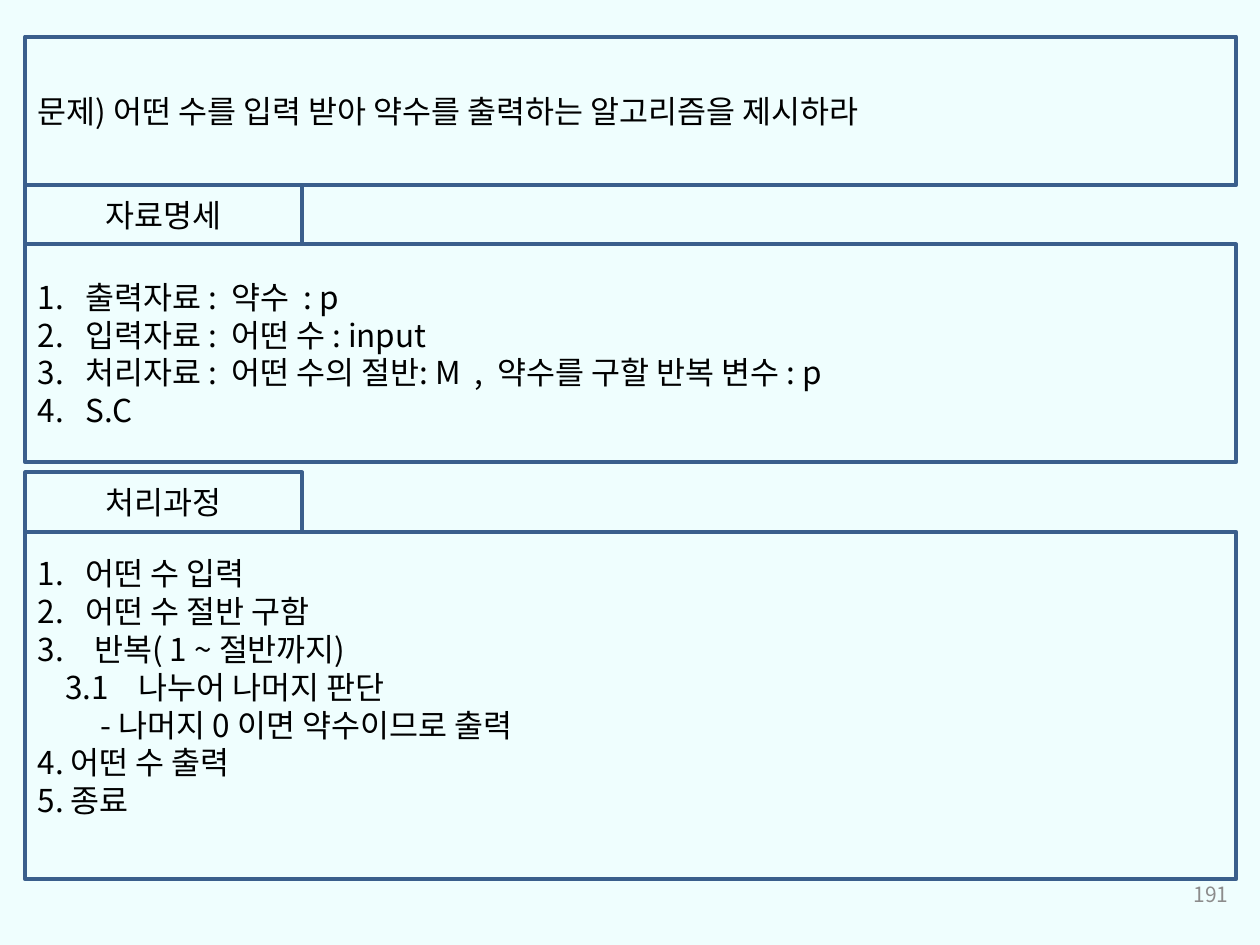
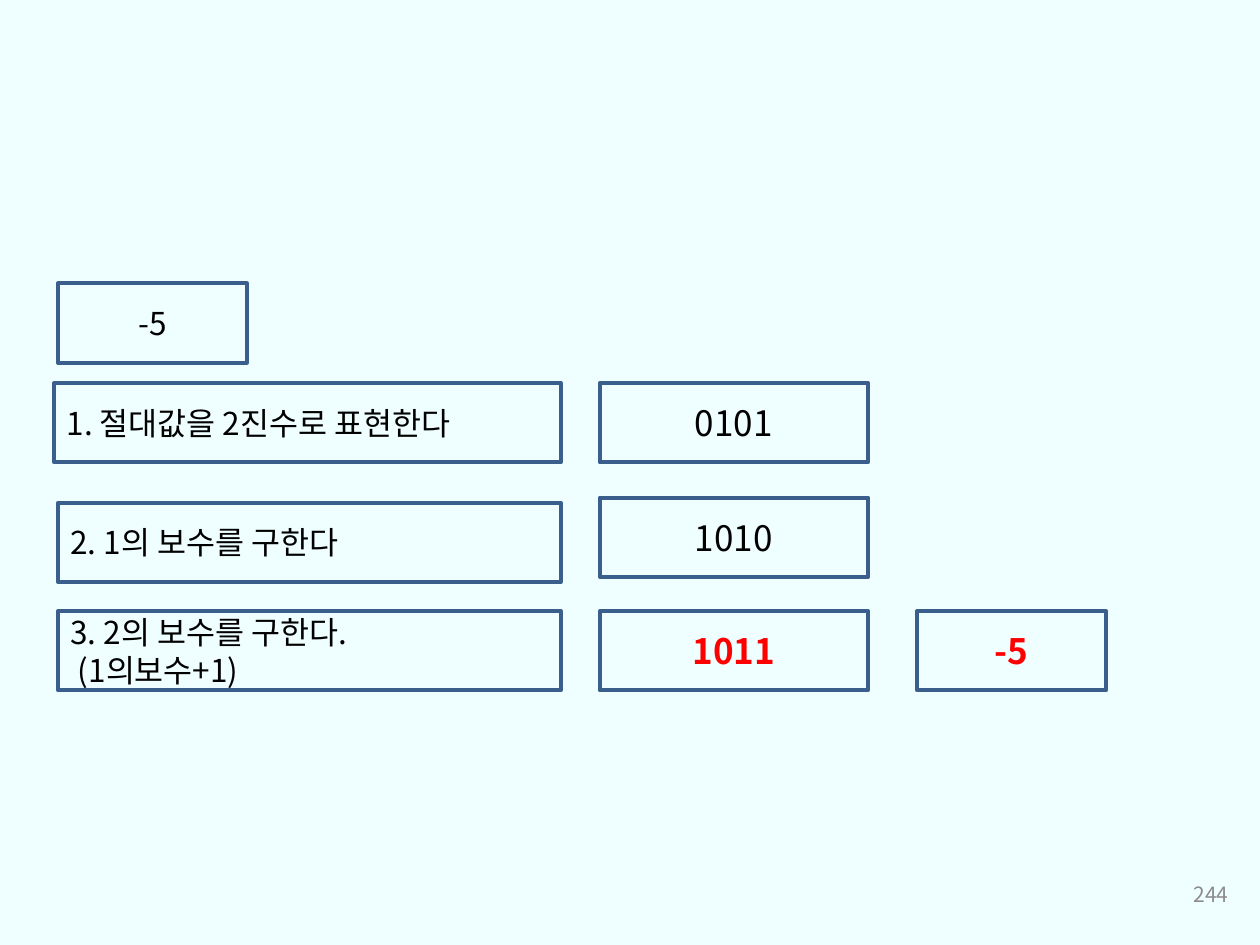
from dataclasses import dataclass

from lxml import etree
from pptx import Presentation
from pptx.dml.color import RGBColor
from pptx.enum.shapes import MSO_SHAPE
from pptx.enum.text import MSO_ANCHOR, PP_ALIGN
from pptx.oxml.ns import qn
from pptx.util import Inches, Pt

LEFT, CENTER, RIGHT = PP_ALIGN.LEFT, PP_ALIGN.CENTER, PP_ALIGN.RIGHT
MIDDLE = MSO_ANCHOR.MIDDLE
RECTANGLE = MSO_SHAPE.RECTANGLE

FONT = "Noto Sans CJK KR"
COLORS = {
    "background": "EFFEFE",
    "border": "3A5F8C",
    "text": "000000",
    "result": "FF0000",
    "page": "8C8C8C",
}
BLANK_LAYOUT = 6


@dataclass
class Line:
    """One paragraph; margin and hang are in inches."""
    text: str
    margin: float = 0
    hang: float = 0
    numbered: bool = False


def numbered(text, margin=0.38):
    return Line(text, margin, margin, True)


def color(name):
    return RGBColor.from_string(COLORS[name])


def write(frame, text, size=18, tint="text", bold=False, align=LEFT):
    """Fill a frame with a string or a list of Line objects."""
    frame.word_wrap = True
    frame.vertical_anchor = MIDDLE
    lines = [Line(text)] if isinstance(text, str) else text
    for index, line in enumerate(lines):
        paragraph = frame.add_paragraph() if index else frame.paragraphs[0]
        paragraph.alignment = align
        properties = paragraph._p.get_or_add_pPr()
        properties.set("marL", str(Inches(line.margin)))
        properties.set("indent", str(-Inches(line.hang)))
        if line.numbered:
            etree.SubElement(properties, qn("a:buFont"), typeface="+mj-lt")
            etree.SubElement(properties, qn("a:buAutoNum"), type="arabicPeriod")
        run = paragraph.add_run()
        run.text = line.text
        font = run.font
        font.name, font.size, font.bold = FONT, Pt(size), bold
        font.color.rgb = color(tint)
        etree.SubElement(run._r.get_or_add_rPr(), qn("a:ea"), typeface=FONT)


class Deck:
    def __init__(self):
        self.presentation = Presentation()
        self.presentation.slide_width = Inches(10)
        self.presentation.slide_height = Inches(7.5)
        self.slide = None

    def new_slide(self, page):
        layout = self.presentation.slide_layouts[BLANK_LAYOUT]
        self.slide = self.presentation.slides.add_slide(layout)
        fill = self.slide.background.fill
        fill.solid()
        fill.fore_color.rgb = color("background")
        footer = self.slide.shapes.add_textbox(
            Inches(7.52), Inches(6.9), Inches(2.33), Inches(0.4))
        write(footer.text_frame, page, size=12, tint="page", align=RIGHT)

    def box(self, left, top, width, height, text, **style):
        shape = self.slide.shapes.add_shape(
            RECTANGLE, Inches(left), Inches(top), Inches(width), Inches(height))
        shape.shadow.inherit = False
        shape.fill.background()
        shape.line.color.rgb = color("border")
        shape.line.width = Pt(2.25)
        write(shape.text_frame, text, **style)
        return shape

    def section(self, top, height, heading, lines):
        """Draw a wide box with its heading tab on top."""
        left, tab_height = 0.2, 0.47
        body = self.box(left, top + tab_height, 9.61, height, lines)
        self.box(left, top, 2.2, tab_height, heading, align=CENTER)
        return body

    def save(self):
        self.presentation.save("out.pptx")


def divisor_slide(deck):
    deck.new_slide("191")
    deck.box(0.2, 0.29, 9.61, 1.18,
             "문제) 어떤 수를 입력 받아 약수를 출력하는 알고리즘을 제시하라")
    deck.section(1.47, 1.73, "자료명세", [
        numbered("출력자료 :  약수  : p"),
        numbered("입력자료 :  어떤 수 : input"),
        numbered("처리자료 :  어떤 수의 절반: M  ,  약수를 구할 반복 변수 : p"),
        numbered("S.C"),
    ])
    process = deck.section(3.75, 2.76, "처리과정", [
        numbered("어떤 수 입력"),
        numbered("어떤 수 절반 구함"),
        numbered("반복( 1 ~ 절반까지)", margin=0.45),
        Line("3.1\t나누어 나머지 판단", margin=0.8, hang=0.58),
        Line("- 나머지 0 이면 약수이므로 출력", margin=0.5),
        Line("4. 어떤 수 출력"),
        Line("5. 종료"),
    ])
    process.text_frame.margin_bottom = Inches(0.35)


def complement_slide(deck):
    deck.new_slide("244")
    height, step_right = 0.63, 4.45
    number_width, bits_left, bits_width = 1.5, 4.76, 2.13
    result = {"size": 20, "tint": "result", "bold": True, "align": CENTER}
    plain = {"size": 20, "align": CENTER}

    deck.box(0.46, 2.25, number_width, height, "-5", align=CENTER)
    steps = [
        (0.43, 3.04, "1. 절대값을 2진수로 표현한다", 3.04, "0101", plain),
        (0.46, 3.99, "2. 1의 보수를 구한다", 3.95, "1010", plain),
        (0.46, 4.85, [Line("3. 2의 보수를 구한다."), Line("(1의보수+1)", margin=0.06)],
         4.85, "1011", result),
    ]
    for left, top, step, bits_top, bits, style in steps:
        deck.box(left, top, step_right - left, height, step)
        deck.box(bits_left, bits_top, bits_width, height, bits, **style)
    deck.box(7.28, 4.85, number_width, height, "-5", **result)


def main():
    deck = Deck()
    divisor_slide(deck)
    complement_slide(deck)
    deck.save()


if __name__ == "__main__":
    main()
